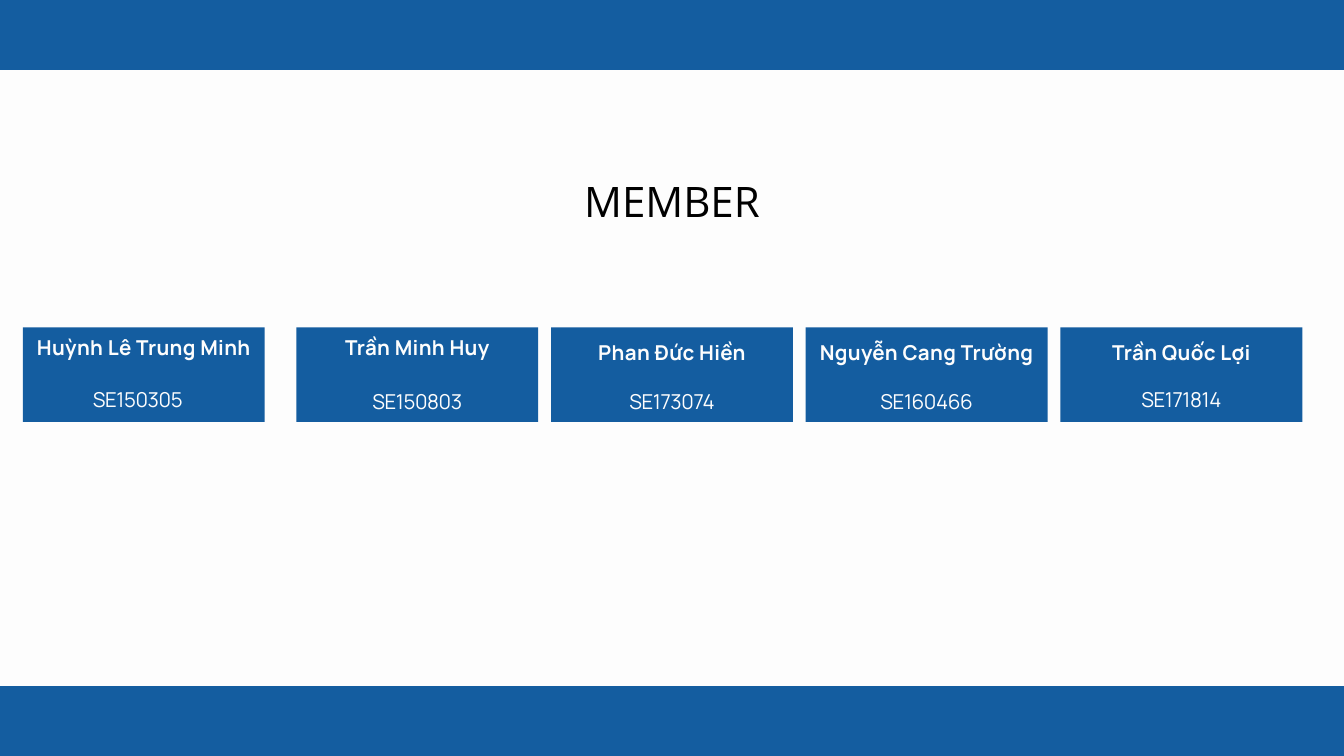
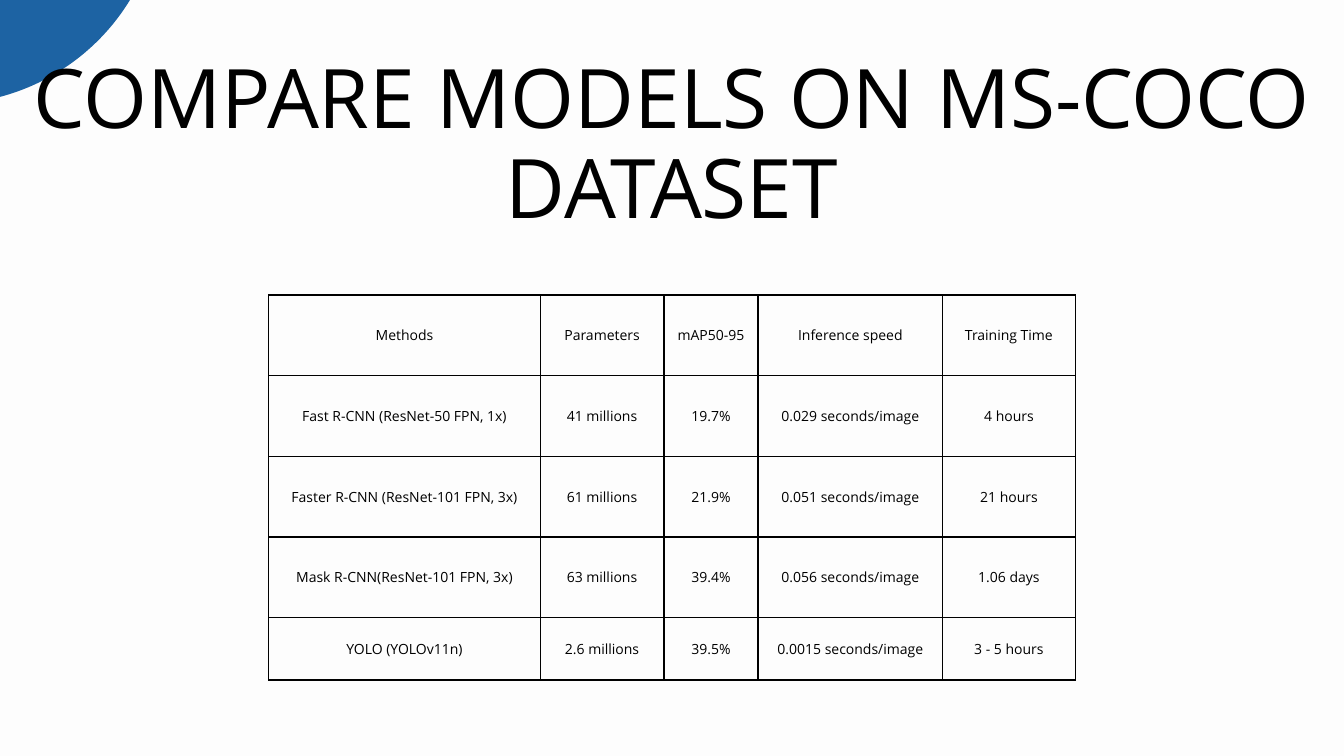
from lxml import etree
from pptx import Presentation
from pptx import util as u
from pptx.dml.color import RGBColor
from pptx.enum import shapes, text
from pptx.oxml import ns

BLUE = RGBColor(0x14, 0x5D, 0xA0)
PALE = RGBColor(0xFD, 0xFD, 0xFD)
BLACK = RGBColor(0, 0, 0)
WIDE, HIGH = 20, 11.25
COLS, ROWS = 80, 45

HEAD = dict(name="Open Sans", size=u.Pt(45), bold=False)
BIG = dict(HEAD, size=u.Pt(88))
CELL = dict(HEAD, size=u.Pt(15))
NAME = dict(name="Manrope", size=u.Pt(22), bold=True)
CODE = dict(NAME, bold=False)

CARD_W, CARD_H, CARD_TOP = 14.4, 5.64, 19.48
FIRST, SECOND, STEP = 1.36, 17.64, 15.16
BAND = 4.16
TEAM = [
    ("Huỳnh Lê Trung Minh", 13.72, 19.68, "SE150305", 12.2, 22.8, -0.36),
    ("Trần Minh Huy", 11.56, 19.68, "SE150803", 12.2, 22.88, 0),
    ("Phan Đức Hiền", 11.56, 20, "SE173074", 11.56, 22.88, 0),
    ("Nguyễn Cang Trường", 14.4, 20, "SE160466", 11.56, 22.88, 0),
    ("Trần Quốc Lợi", 11.56, 20, "SE171814", 11.56, 22.8, 0),
]

MODELS = [
    ("Methods", "Parameters", "mAP50-95", "Inference speed", "Training Time"),
    ("Fast R-CNN (ResNet-50 FPN, 1x)", "41 millions", "19.7%",
     "0.029 seconds/image", "4 hours"),
    ("Faster R-CNN (ResNet-101 FPN, 3x)", "61 millions", "21.9%",
     "0.051 seconds/image", "21 hours"),
    ("Mask R-CNN(ResNet-101 FPN, 3x)", "63 millions", "39.4%",
     "0.056 seconds/image", "1.06 days"),
    ("YOLO (YOLOv11n)", "2.6 millions", "39.5%",
     "0.0015 seconds/image", "3 - 5 hours"),
]


def across(cols):
    return u.Inches(cols * WIDE / COLS)


def down(rows):
    return u.Inches(rows * HIGH / ROWS)


def place(left, top, width, height):
    return across(left), down(top), across(width), down(height)


class Deck:
    def __init__(self):
        self.prs = Presentation()
        self.prs.slide_width = u.Inches(WIDE)
        self.prs.slide_height = u.Inches(HIGH)
        fill = self.prs.slide_master.background.fill
        fill.solid()
        fill.fore_color.rgb = PALE
        self.slide = None

    def page(self):
        self.slide = self.prs.slides.add_slide(self.prs.slide_layouts[5])

    def words(self, frame, line, style, lead, ink=BLACK, space=0):
        para = frame.paragraphs[0]
        para.alignment = text.PP_ALIGN.CENTER
        para.line_spacing = u.Pt(lead)
        run = para.add_run()
        run.text = line
        for key, val in style.items():
            setattr(run.font, key, val)
        run.font.color.rgb = ink
        if space:
            run._r.get_or_add_rPr().set("spc", str(space))

    def frame(self, box):
        form = dict(margin_left=0, margin_right=0, margin_top=0,
                    margin_bottom=0, word_wrap=True,
                    vertical_anchor=text.MSO_ANCHOR.TOP,
                    auto_size=text.MSO_AUTO_SIZE.SHAPE_TO_FIT_TEXT)
        for key, val in form.items():
            setattr(box.text_frame, key, val)
        return box.text_frame

    def title(self, line, spot, style, lead):
        box = self.slide.shapes.title
        for key, val in zip(("left", "top", "width", "height"), place(*spot)):
            setattr(box, key, val)
        self.words(self.frame(box), line, style, lead)

    def label(self, line, mid, top, width, style, space):
        box = self.slide.shapes.add_textbox(
            *place(mid - width / 2, top, width, 1.72))
        self.words(self.frame(box), line, style, 30.8, PALE, space)

    def block(self, spot, kind=shapes.MSO_SHAPE.RECTANGLE):
        form = self.slide.shapes.add_shape(kind, *place(*spot))
        form.shadow.inherit = False
        form.fill.solid()
        form.fill.fore_color.rgb = BLUE
        form.line.fill.background()
        return form

    def disc(self, spot):
        form = self.block(spot, shapes.MSO_SHAPE.OVAL)
        ink = form._element.spPr.find(".//" + ns.qn("a:srgbClr"))
        etree.SubElement(ink, ns.qn("a:alpha"), val="96000")
        tree = self.slide.shapes._spTree
        tree.remove(form._element)
        tree.insert(2, form._element)

    def edge(self, cell):
        props = cell._tc.get_or_add_tcPr()
        for side in ("L", "R", "T", "B"):
            line = etree.SubElement(props, ns.qn("a:ln" + side),
                                    w=str(int(u.Pt(1.5))))
            fill = etree.SubElement(line, ns.qn("a:solidFill"))
            etree.SubElement(fill, ns.qn("a:srgbClr"), val=str(BLACK))

    def table(self, data, left, top, wide, high):
        grid = self.slide.shapes.add_table(
            len(high), len(wide), *place(left, top, sum(wide), sum(high))).table
        grid.first_row = grid.horz_banding = False
        for col, size in zip(grid.columns, wide):
            col.width = across(size)
        for row, size, lines in zip(grid.rows, high, data):
            row.height = down(size)
            for cell, line in zip(row.cells, lines):
                for side in ("left", "right", "top", "bottom"):
                    setattr(cell, "margin_" + side, u.Inches(0.17))
                cell.vertical_anchor = text.MSO_ANCHOR.MIDDLE
                self.edge(cell)
                cell.fill.background()
                self.words(cell.text_frame, line, CELL, 21)


def team(deck):
    deck.page()
    for top in (0, ROWS - BAND):
        deck.block((0, top, COLS, BAND))
    deck.title("MEMBER", (24.08, 9.92, 31.84, 3.36), HEAD, 63)
    for i, (name, wide, top, code, span, base, shift) in enumerate(TEAM):
        left = SECOND + STEP * (i - 1) if i else FIRST
        mid = left + CARD_W / 2
        deck.block((left, CARD_TOP, CARD_W, CARD_H))
        deck.label(name, mid, top, wide, NAME, 40)
        deck.label(code, mid + shift, base, span, CODE, -40)


def models(deck):
    deck.page()
    deck.disc((-16.28, -19.72, 25.92, 25.92))
    deck.table(MODELS, 16, 17.56, (16.16, 7.36, 5.6, 11, 7.88),
               (4.8, 4.8, 4.8, 4.8, 3.72))
    deck.title("COMPARE MODELS ON MS-COCO DATASET",
               (0, 3.24, COLS, 10.88), BIG, 96.8)


def main():
    deck = Deck()
    team(deck)
    models(deck)
    deck.prs.save("out.pptx")


if __name__ == "__main__":
    main()
